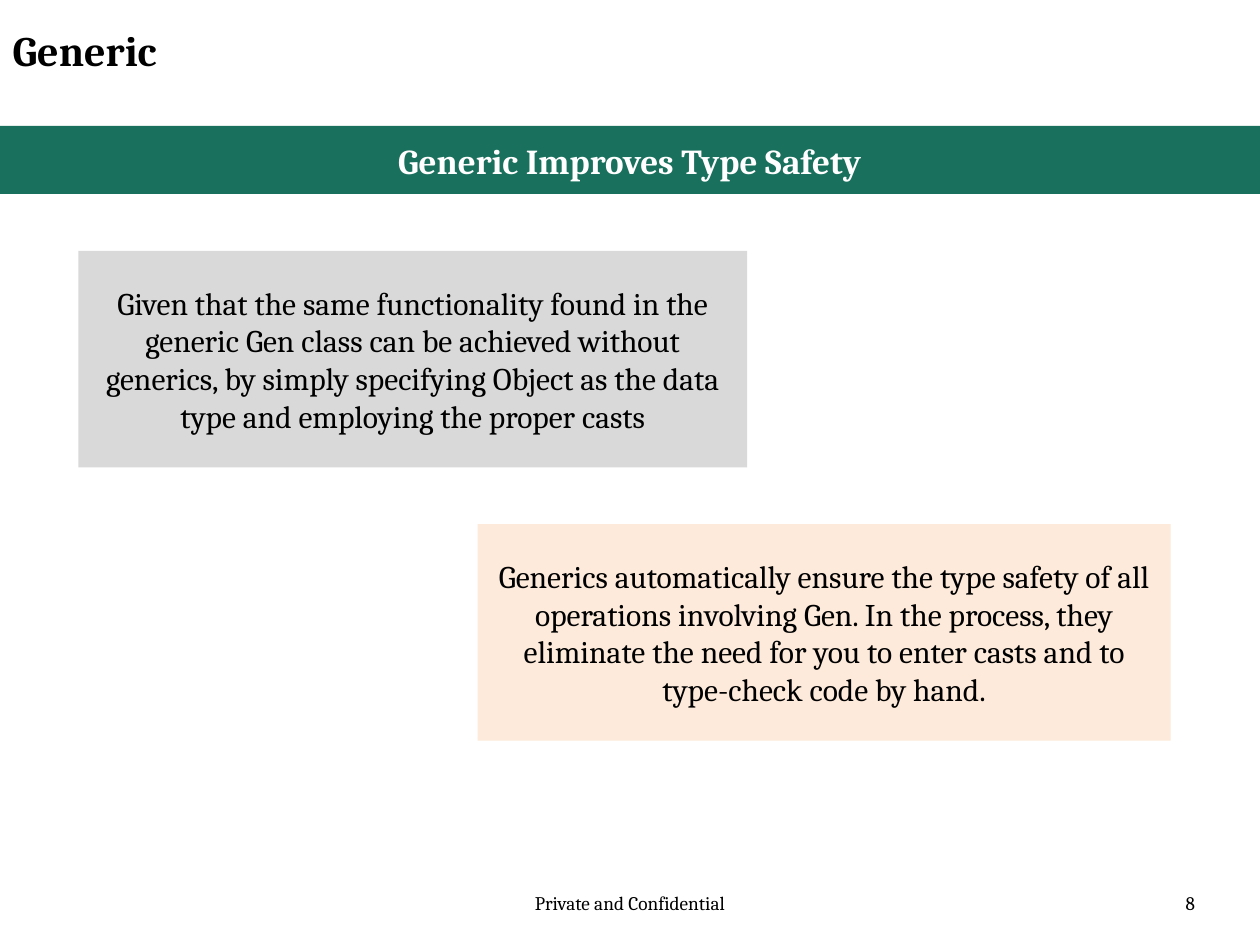
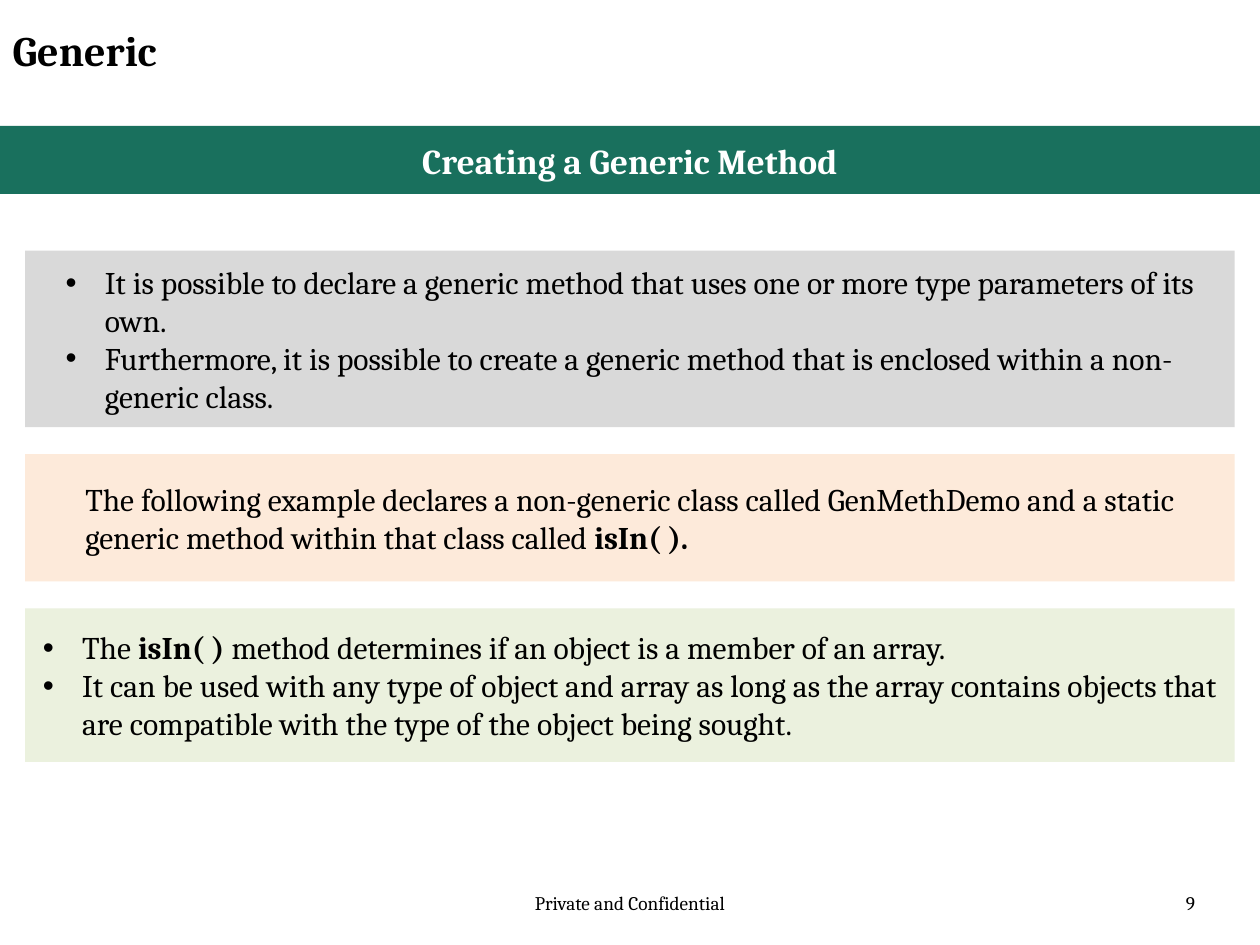
from dataclasses import dataclass

from lxml.etree import SubElement
from pptx import Presentation
from pptx.dml.color import RGBColor as RGB
from pptx.enum.shapes import MSO_SHAPE as Shape
from pptx.enum.text import MSO_ANCHOR as Anchor, MSO_AUTO_SIZE as AutoSize, PP_ALIGN as Align
from pptx.oxml.ns import qn
from pptx.util import Pt


@dataclass(frozen=True)
class Theme:
    font: str = "Cambria"
    black: RGB = RGB(0, 0, 0)
    white: RGB = RGB(255, 255, 255)
    green: RGB = RGB(0x19, 0x70, 0x5D)
    grey: RGB = RGB(0xD9, 0xD9, 0xD9)
    peach: RGB = RGB(0xFD, 0xEA, 0xDA)
    lime: RGB = RGB(0xEB, 0xF1, 0xDE)
    title: int = 24
    banner: int = 20
    body: int = 18
    footer: int = 11


T = Theme()
WIDTH, HEIGHT = 720, 540
FIRST_NUMBER = 8
CONTENT_TOP = 143.3
INSET = 7.2
BULLET_INDENT = 22.5


def place(sp, box):
    sp.left, sp.top, sp.width, sp.height = map(Pt, box)


def write(sp, paragraphs, size, color=T.black, align=Align.LEFT, bold=False,
          anchor=Anchor.TOP, inset=INSET / 2):
    """Fill a shape with text; parts between ** marks are bold."""
    tf = sp.text_frame
    tf.word_wrap = True
    tf.auto_size = AutoSize.NONE
    tf.vertical_anchor = anchor
    tf.margin_left = tf.margin_right = Pt(INSET)
    tf.margin_top = tf.margin_bottom = Pt(inset)
    for i, text in enumerate(paragraphs):
        p = tf.add_paragraph() if i else tf.paragraphs[0]
        p.alignment = align
        for j, part in enumerate(text.split("**")):
            if not part:
                continue
            r = p.add_run()
            r.text = part
            r.font.name, r.font.size = T.font, Pt(size)
            r.font.bold = bold or j % 2 == 1
            r.font.color.rgb = color


def add_bullets(sp):
    for p in sp.text_frame.paragraphs:
        pPr = p._p.get_or_add_pPr()
        pPr.set("marL", str(Pt(BULLET_INDENT)))
        pPr.set("indent", str(-Pt(BULLET_INDENT)))
        SubElement(pPr, qn("a:buFont")).set("typeface", "Arial")
        SubElement(pPr, qn("a:buChar")).set("char", "•")


def add_panel(slide, box, fill, paragraphs, size=T.body, bullets=False, **style):
    """Filled rectangle whose text block is centred both ways."""
    sp = slide.shapes.add_shape(Shape.RECTANGLE, *map(Pt, box))
    sp.shadow.inherit = False
    sp.fill.solid()
    sp.fill.fore_color.rgb = fill
    sp.line.fill.background()
    write(sp, paragraphs, size, anchor=Anchor.MIDDLE, inset=INSET, **style)
    sp.text_frame._txBody.bodyPr.set("anchorCtr", "1")
    if bullets:
        add_bullets(sp)


def add_footer(slide, number, top=505.5, height=29):
    for left, width, text, align in [
        (246, 228, "Private and Confidential", Align.CENTER),
        (522, 168, str(number), Align.RIGHT),
    ]:
        sp = slide.shapes.add_textbox(*map(Pt, (left, top, width, height)))
        write(sp, [text], T.footer, align=align)


def add_topic_slide(prs, heading):
    """Slide with the shared footer, title and heading band."""
    slide = prs.slides.add_slide(prs.slide_layouts[5])
    add_footer(slide, FIRST_NUMBER + len(prs.slides) - 1)
    title = slide.shapes.title
    place(title, (0, 12.2, 546, 44.6))
    write(title, ["Generic"], T.title, bold=True, inset=2)
    add_panel(slide, (0, 72, WIDTH, 38.9), T.green, [heading], T.banner,
              color=T.white, align=Align.CENTER, bold=True)
    return slide


def add_staggered_panels(slide, panels, top=CONTENT_TOP, height=123.8, gap=32.4):
    for i, (left, width, fill, text) in enumerate(panels):
        box = (left, top + i * (height + gap), width, height)
        add_panel(slide, box, fill, [text], align=Align.CENTER)


def add_stacked_panels(slide, panels, left=14.4, top=CONTENT_TOP, gap=15.4):
    for height, fill, paragraphs in panels:
        add_panel(slide, (left, top, WIDTH - 2 * left, height), fill, paragraphs,
                  bullets=len(paragraphs) > 1)
        top += height + gap


def main():
    prs = Presentation()
    prs.slide_width, prs.slide_height = Pt(WIDTH), Pt(HEIGHT)

    # Type safety
    slide = add_topic_slide(prs, "Generic Improves Type Safety")
    add_staggered_panels(slide, [
        (44.8, 382.2, T.grey,
         "Given that the same functionality found in the generic Gen class can be "
         "achieved without generics, by simply specifying Object as the data type "
         "and employing the proper casts"),
        (273, 396, T.peach,
         "Generics automatically ensure the type safety of all operations involving "
         "Gen. In the process, they eliminate the need for you to enter casts and to "
         "type-check code by hand."),
    ])

    # Generic methods
    slide = add_topic_slide(prs, "Creating a Generic Method")
    add_stacked_panels(slide, [
        (100.8, T.grey, [
            "It is possible to declare a generic method that uses one or more type "
            "parameters of its own.",
            "Furthermore, it is possible to create a generic method that is enclosed "
            "within a non-generic class."]),
        (72.7, T.peach, [
            "The following example declares a non-generic class called GenMethDemo "
            "and a static generic method within that class called **isIn( ).**"]),
        (87.8, T.lime, [
            "The **isIn( ) **method determines if an object is a member of an array.",
            "It can be used with any type of object and array as long as the array "
            "contains objects that are compatible with the type of the object being "
            "sought."]),
    ])
    prs.save("out.pptx")


if __name__ == "__main__":
    main()
